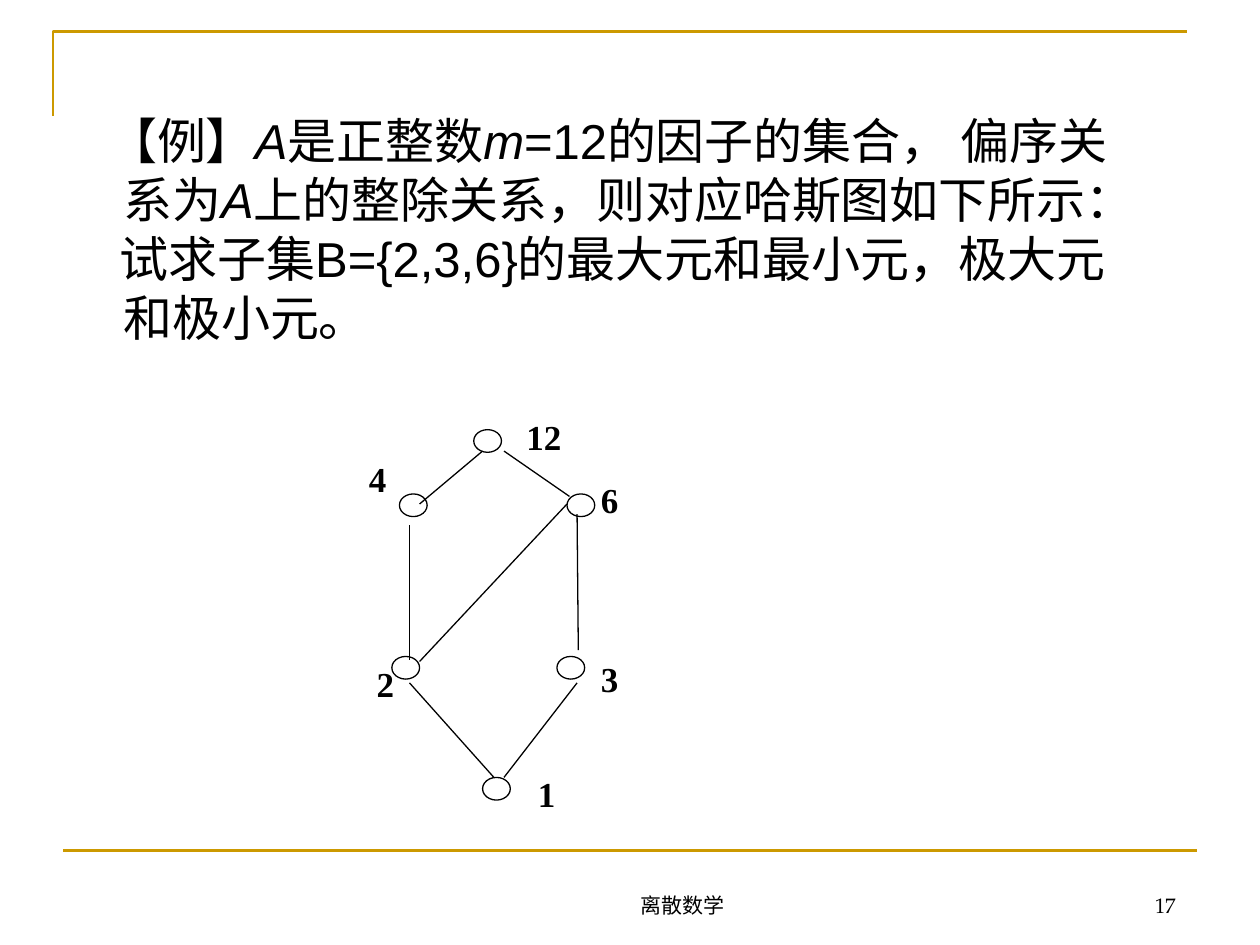
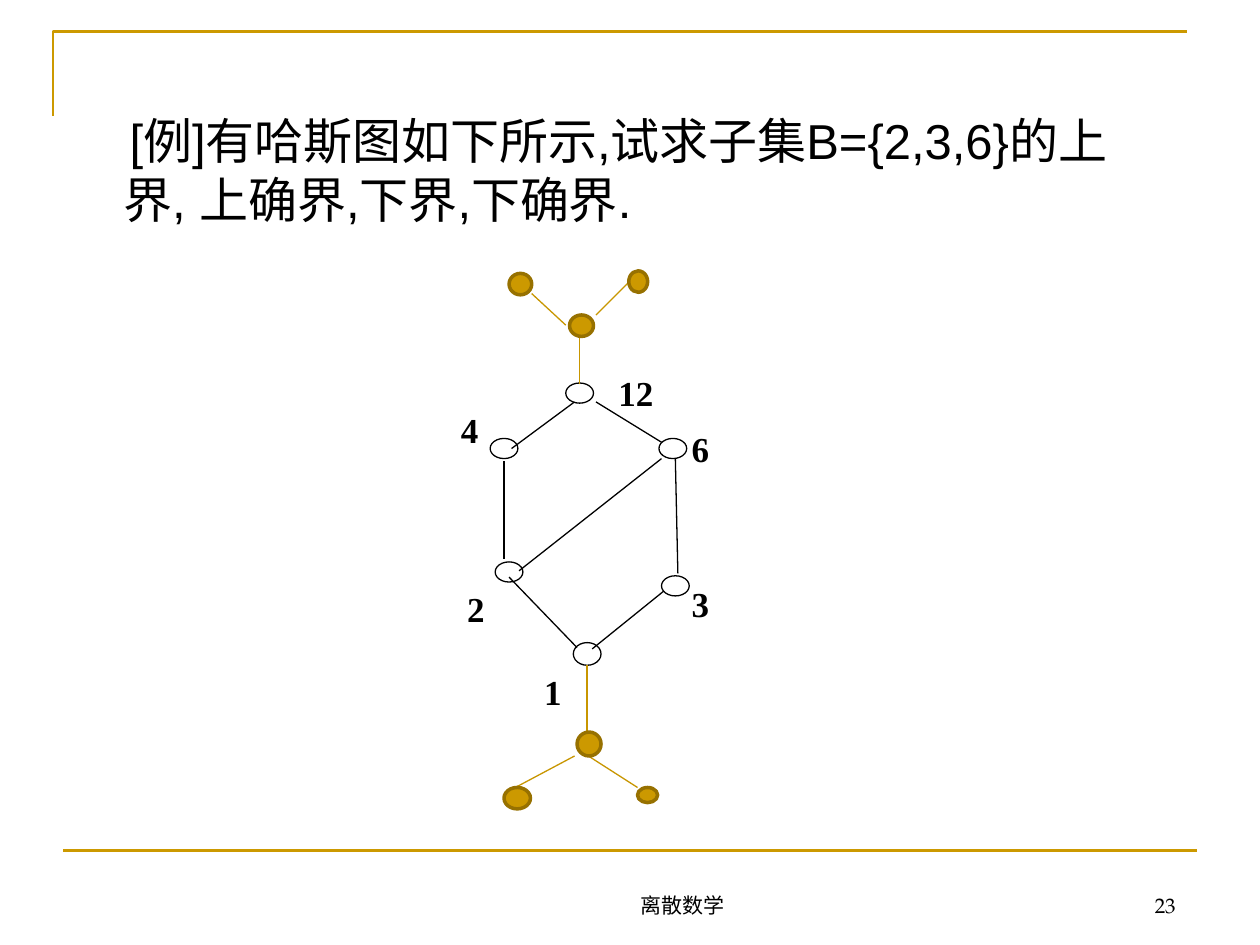
from dataclasses import dataclass

from pptx import Presentation
from pptx.dml.color import RGBColor
from pptx.enum.lang import MSO_LANGUAGE_ID as Language
from pptx.enum.shapes import MSO_CONNECTOR as Connector, MSO_SHAPE as Shape
from pptx.enum.text import MSO_ANCHOR as Anchor, PP_ALIGN as Align
from pptx.oxml.ns import qn
from pptx.util import Inches, Pt


@dataclass(frozen=True)
class Theme:
    gold: str = "CC9900"
    branch_line: str = "C89600"
    dot_edge: str = "977100"
    ink: str = "000000"
    paper: str = "FFFFFF"
    body_font: str = "Arial"
    label_font: str = "Times New Roman"
    footer_font: str = "TeX Gyre Pagella"
    body_size: float = 28
    label_size: float = 20
    footer_size: float = 12
    frame_width: float = 1.5
    edge_width: float = 0.75
    dot_width: float = 2


THEME = Theme()
HANGING = 0.38
NODE_WIDTH = 0.22


# Drawing helpers
def set_line(line, color, width):
    line.color.rgb = RGBColor.from_string(color)
    line.width = Pt(width)


def add_text(slide, box, paragraphs, font, size, bold=False,
             align=Align.LEFT, anchor=Anchor.TOP, first_indents=None):
    """Each paragraph is a list of runs; a run in a tuple is italic."""
    frame = slide.shapes.add_textbox(*map(Inches, box)).text_frame
    frame.word_wrap = True
    frame.vertical_anchor = anchor
    for index, runs in enumerate(paragraphs):
        paragraph = frame.paragraphs[0] if index == 0 else frame.add_paragraph()
        paragraph.alignment = align
        if first_indents:
            properties = paragraph._p.get_or_add_pPr()
            properties.set("marL", str(Inches(HANGING)))
            properties.set("indent", str(Inches(first_indents[index])))
        for content in runs:
            italic = isinstance(content, tuple)
            run = paragraph.add_run()
            run.text = content[0] if italic else content
            run.font.name = font
            run.font.size = Pt(size)
            run.font.bold = bold
            run.font.italic = italic
            run.font.language_id = Language.SIMPLIFIED_CHINESE
            run.font.color.rgb = RGBColor.from_string(THEME.ink)


def add_line(slide, start, end, color=THEME.ink, width=THEME.edge_width):
    line = slide.shapes.add_connector(
        Connector.STRAIGHT, *map(Inches, (*start, *end)))
    set_line(line.line, color, width)
    properties = line._element.spPr
    properties.append(properties.makeelement(qn("a:effectLst"), {}))


def add_ellipse(slide, box, fill, color, width):
    ellipse = slide.shapes.add_shape(Shape.OVAL, *map(Inches, box))
    ellipse.shadow.inherit = False
    ellipse.fill.solid()
    ellipse.fill.fore_color.rgb = RGBColor.from_string(fill)
    set_line(ellipse.line, color, width)


def shift(origin, point):
    return origin[0] + point[0], origin[1] + point[1]


# Shared frame and footer
def add_frame(slide, page_number):
    builder = slide.shapes.build_freeform(Inches(0.42), Inches(0.92))
    builder.add_line_segments(
        [(Inches(0.42), Inches(0.25)), (Inches(9.42), Inches(0.25))], close=False)
    corner = builder.convert_to_shape()
    corner.shadow.inherit = False
    corner.fill.background()
    set_line(corner.line, THEME.gold, THEME.frame_width)
    add_line(slide, (0.5, 6.75), (9.5, 6.75), THEME.gold, THEME.frame_width)
    for box, text, align in (
        ((3.83, 6.83, 3.17, 0.5), "离散数学", Align.CENTER),
        ((8.33, 6.83, 1.1, 0.5), str(page_number), Align.RIGHT),
    ):
        add_text(slide, box, [[text]], THEME.footer_font, THEME.footer_size,
                 align=align, anchor=Anchor.BOTTOM)


# Problem statement
def add_problem(slide, box, paragraphs, first_indents):
    add_text(slide, box, paragraphs, THEME.body_font, THEME.body_size,
             first_indents=first_indents)


# Hasse diagram of the divisors of 12
def add_hasse(slide, origin, nodes, edges):
    """A node maps its label to the ellipse corner, its height and the label corner."""
    for corner, height, _ in nodes.values():
        add_ellipse(slide, (*shift(origin, corner), NODE_WIDTH, height),
                    THEME.paper, THEME.ink, THEME.edge_width)
    for start, end in edges:
        add_line(slide, shift(origin, start), shift(origin, end))
    for label, (_, _, corner) in nodes.items():
        add_text(slide, (*shift(origin, corner), 0.66, 0.5), [[label]],
                 THEME.label_font, THEME.label_size, bold=True)


# Gold branch beyond the top or bottom element
def add_branch(slide, origin, dots, edges):
    for start, end in edges:
        add_line(slide, shift(origin, start), shift(origin, end), THEME.branch_line)
    for left, top, width, height in dots:
        add_ellipse(slide, (*shift(origin, (left, top)), width, height),
                    THEME.gold, THEME.dot_edge, THEME.dot_width)


def new_slide(presentation, page_number):
    slide = presentation.slides.add_slide(presentation.slide_layouts[6])
    add_frame(slide, page_number)
    return slide


def build_extremes_slide(presentation):
    slide = new_slide(presentation, 17)
    add_problem(slide, (0.5, 0.83, 8.75, 5.25), [
        ["【例】", ("A",), "是正整数", ("m",), "=12的因子的集合， 偏序关系为",
         ("A",), "上的整除关系，则对应哈斯图如下所示："],
        ["试求子集B={2,3,6}的最大元和最小元，极大元和极小元。"],
    ], first_indents=(-0.12, -0.03))
    nodes = {
        "12": ((0.93, 0.16), 0.18, (1.25, 0)),
        "4": ((0.34, 0.67), 0.18, (0, 0.33)),
        "6": ((1.67, 0.67), 0.18, (1.84, 0.5)),
        "2": ((0.28, 1.96), 0.18, (0.06, 1.96)),
        "3": ((1.59, 1.96), 0.18, (1.84, 1.92)),
        "1": ((1, 2.92), 0.18, (1.34, 2.83)),
    }
    edges = [
        ((0.5, 0.75), (1, 0.33)),
        ((1.17, 0.33), (1.69, 0.69)),
        ((1.67, 0.75), (0.5, 2)),
        ((0.42, 0.92), (0.42, 1.99)),
        ((1.75, 0.83), (1.76, 1.91)),
        ((0.42, 2.17), (1.09, 2.92)),
        ((1.75, 2.17), (1.17, 2.92)),
    ]
    add_hasse(slide, (2.83, 3.25), nodes, edges)


def build_bounds_slide(presentation):
    slide = new_slide(presentation, 23)
    add_problem(slide, (0.5, 0.83, 8.5, 5.99), [
        ["[例]有哈斯图如下所示,试求子集B={2,3,6}的上界, 上确界,下界,下确界."],
    ], first_indents=(0.05,))
    nodes = {
        "12": ((0.93, 0.14), 0.16, (1.25, 0)),
        "4": ((0.33, 0.58), 0.16, (0, 0.29)),
        "6": ((1.67, 0.58), 0.16, (1.83, 0.44)),
        "2": ((0.37, 1.56), 0.16, (0.05, 1.71)),
        "3": ((1.69, 1.67), 0.16, (1.83, 1.67)),
        "1": ((0.99, 2.2), 0.18, (0.66, 2.37)),
    }
    edges = [
        ((0.5, 0.66), (1, 0.29)),
        ((1.17, 0.29), (1.69, 0.61)),
        ((1.69, 0.74), (0.56, 1.63)),
        ((0.44, 0.76), (0.44, 1.54)),
        ((1.8, 0.74), (1.82, 1.65)),
        ((0.48, 1.68), (1.02, 2.24)),
        ((1.71, 1.79), (1.14, 2.25)),
    ]
    add_hasse(slide, (3.56, 2.9), nodes, edges)
    add_branch(
        slide, (4, 2.15),
        dots=[(0.52, 0.35, 0.19, 0.17), (0.04, 0.02, 0.18, 0.17),
              (0.99, 0, 0.15, 0.17)],
        edges=[((0.6, 0.9), (0.6, 0.52)), ((0.49, 0.43), (0.22, 0.18)),
               ((0.73, 0.35), (0.98, 0.1))])
    add_branch(
        slide, (4, 5.28),
        dots=[(0.58, 0.53, 0.19, 0.19), (0, 0.97, 0.21, 0.17),
              (1.06, 0.97, 0.16, 0.12)],
        edges=[((0.66, 0), (0.66, 0.53)), ((0.56, 0.72), (0.09, 0.97)),
               ((0.67, 0.72), (1.06, 0.97))])


def main():
    presentation = Presentation()
    presentation.slide_width = Inches(10)
    presentation.slide_height = Inches(7.5)
    build_extremes_slide(presentation)
    build_bounds_slide(presentation)
    presentation.save("out.pptx")


if __name__ == "__main__":
    main()
